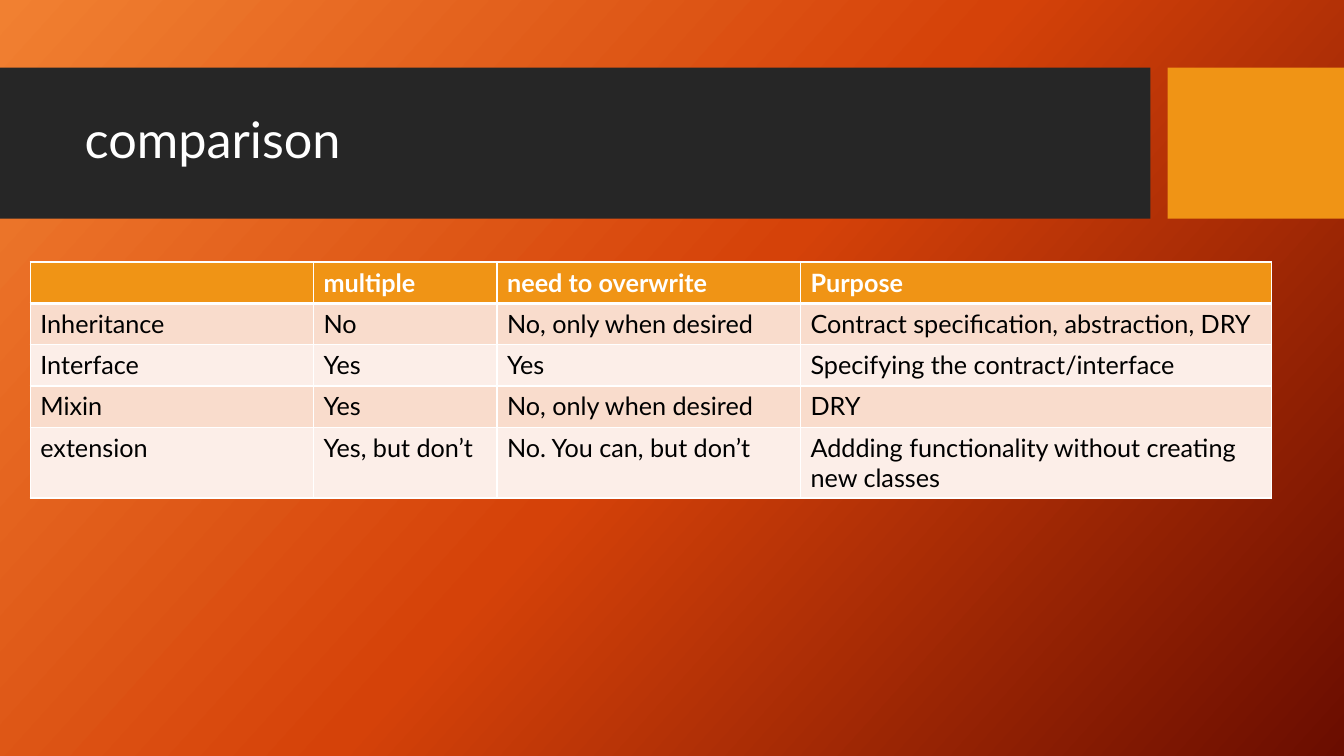
"""Build the slide that compares four ways to share code."""
from copy import deepcopy
from pptx import Presentation
from pptx.dml.color import RGBColor
from pptx.enum.shapes import MSO_SHAPE
from pptx.enum.text import MSO_ANCHOR, PP_ALIGN
from pptx.oxml import parse_xml
from pptx.oxml.ns import nsdecls, qn
from pptx.util import Inches, Pt

WHITE = RGBColor(0xFF, 0xFF, 0xFF)
BLACK = RGBColor(0x00, 0x00, 0x00)
DARK = RGBColor(0x26, 0x26, 0x26)
GOLD = RGBColor(0xF0, 0x94, 0x15)
PEACH = RGBColor(0xF9, 0xDC, 0xCC)
CREAM = RGBColor(0xFC, 0xEE, 0xE8)
GLOW = [
    (0, RGBColor(0xF1, 0x80, 0x31)),
    (0.5, RGBColor(0xD5, 0x42, 0x09)),
    (1, RGBColor(0x6A, 0x0D, 0x00)),
]
FONT = "Lato"
WIDTHS = [2.81, 1.82, 3.01, 4.67]
ROW = 0.41
ROWS = [
    ["", "multiple", "need to overwrite", "Purpose"],
    ["Inheritance", "No", "No, only when desired", "Contract specification, abstraction, DRY"],
    ["Interface", "Yes", "Yes", "Specifying the contract/interface"],
    ["Mixin", "Yes", "No, only when desired", "DRY"],
    ["extension", "Yes, but don’t", "No. You can, but don’t",
     "Addding functionality without creating new classes"],
]


def style(par, size, color, bold=False):
    par.font.name = FONT
    par.font.size = Pt(size)
    par.font.color.rgb = color
    par.font.bold = bold


def edge(cell, widths):
    props = cell._tc.get_or_add_tcPr()
    for spot, (side, width) in enumerate(zip("LRTB", widths)):
        props.insert(spot, parse_xml(
            f'<a:ln{side} {nsdecls("a")} w="{Pt(width)}"><a:solidFill>'
            f'<a:srgbClr val="{WHITE}"/></a:solidFill></a:ln{side}>'))


deck = Presentation()
deck.slide_width, deck.slide_height = Inches(13.33), Inches(7.5)
slide = deck.slides.add_slide(deck.slide_layouts[5])

fill = slide.background.fill
fill.gradient()
fill.gradient_angle = 318
stops = slide.element.find(".//" + qn("a:gsLst"))
stops.append(deepcopy(stops[0]))
for stop, (share, color) in zip(fill.gradient_stops, GLOW):
    stop.position = share
    stop.color.rgb = color

for left, width, color in [(0, 11.41, DARK), (11.58, 1.75, GOLD)]:
    band = slide.shapes.add_shape(
        MSO_SHAPE.RECTANGLE, Inches(left), Inches(0.67), Inches(width), Inches(1.5))
    band.shadow.inherit = False
    band.fill.solid()
    band.fill.fore_color.rgb = color
    band.line.fill.background()

title = slide.shapes.title
title.element.getparent().append(title.element)
title.left, title.top = Inches(0.74), Inches(0.82)
title.width, title.height = Inches(10.51), Inches(1.18)
title.text_frame.text = "comparison"
title.text_frame.vertical_anchor = MSO_ANCHOR.MIDDLE
head = title.text_frame.paragraphs[0]
head.alignment = PP_ALIGN.LEFT
head.line_spacing = 0.9
style(head, 36, WHITE)

table = slide.shapes.add_table(
    len(ROWS), len(WIDTHS), Inches(0.3), Inches(2.6),
    Inches(sum(WIDTHS)), Inches(ROW * len(ROWS))).table
for column, width in zip(table.columns, WIDTHS):
    column.width = Inches(width)
for r, words in enumerate(ROWS):
    table.rows[r].height = Inches(ROW)
    for c, word in enumerate(words):
        cell = table.cell(r, c)
        cell.text = word
        style(cell.text_frame.paragraphs[0], 18, BLACK if r else WHITE, r == 0)
        cell.fill.solid()
        cell.fill.fore_color.rgb = (PEACH if r % 2 else CREAM) if r else GOLD
        edge(cell, [1, 1, 3 if r == 1 else 1, 3 if r == 0 else 1])

deck.save("out.pptx")
